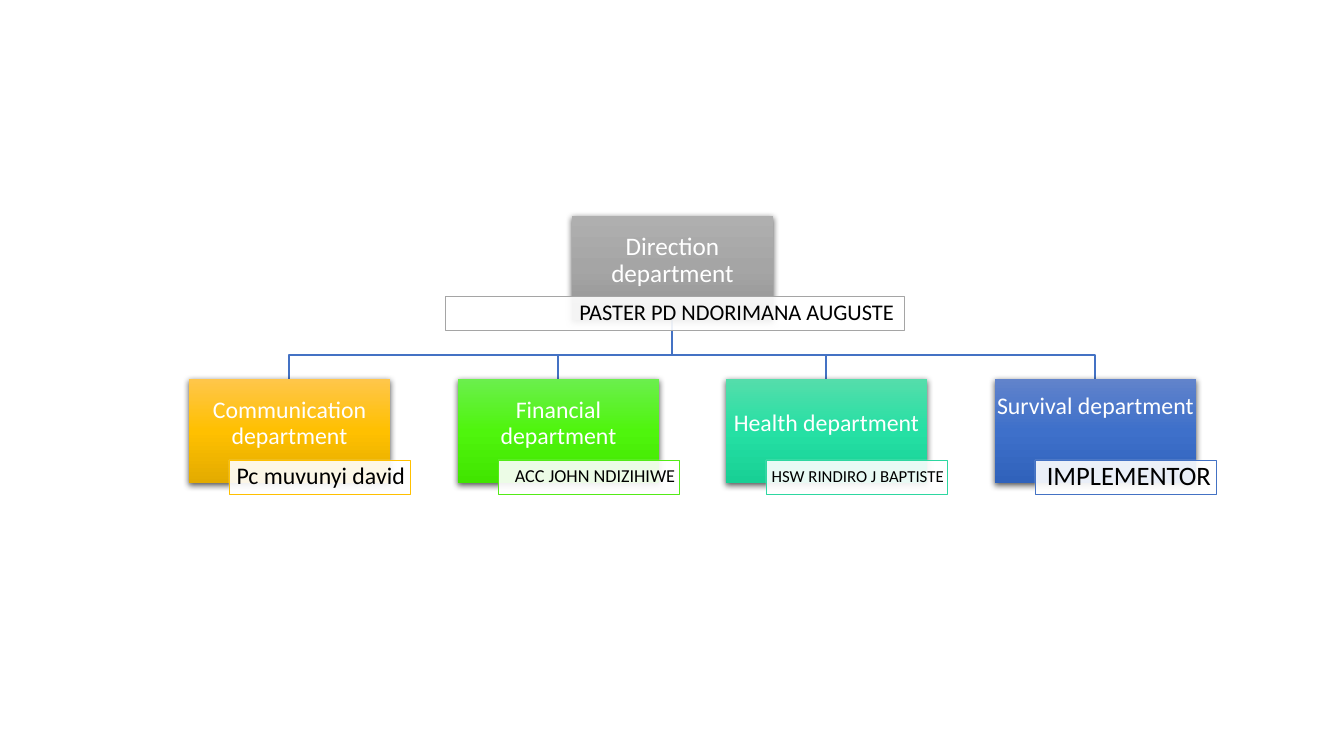
from dataclasses import dataclass
from lxml.etree import SubElement
from pptx import Presentation
from pptx.dml.color import RGBColor
from pptx.enum.shapes import MSO_SHAPE
from pptx.enum.text import MSO_ANCHOR, PP_ALIGN
from pptx.oxml.ns import qn
from pptx.util import Pt

SCALE = 914400 / 100.8


@dataclass(frozen=True)
class Theme:
    font: str = "Calibri"
    white: str = "FFFFFF"
    black: str = "000000"
    wire: str = "4472C4"
    head: int = 18
    unit: int = 17


THEME = Theme()


def px(n):
    return round(n * SCALE)


def rgb(code):
    return RGBColor.from_string(code)


def assign(item, values):
    for key, value in values.items():
        setattr(item, key, value)


def node(parent, tag, **values):
    return SubElement(parent, qn(tag), {k: str(v) for k, v in values.items()})


def write(shape, text, size, color, align, pads):
    frame = shape.text_frame
    sides = ("margin_left", "margin_top", "margin_right", "margin_bottom")
    assign(frame, dict(zip(sides, map(px, pads))))
    assign(frame, {"word_wrap": True, "vertical_anchor": MSO_ANCHOR.MIDDLE})
    para = frame.paragraphs[0]
    assign(para, {"alignment": align, "line_spacing": 0.9})
    run = para.add_run()
    run.text = text
    assign(run.font, {"name": THEME.font, "size": Pt(size)})
    run.font.color.rgb = rgb(color)


def block(slide, box):
    shape = slide.shapes.add_shape(MSO_SHAPE.RECTANGLE, *map(px, box))
    shape.shadow.inherit = False
    return shape


def card(slide, box, text, size, shades, foot=15):
    shape = block(slide, box)
    shape.line.fill.background()
    props = shape.element.spPr
    grad = node(props, "a:gradFill", rotWithShape=1)
    stops = node(grad, "a:gsLst")
    for pos, shade in zip((0, 50000, 100000), shades):
        node(node(stops, "a:gs", pos=pos), "a:srgbClr", val=shade)
    node(grad, "a:lin", ang=5400000, scaled=0)
    props.find(qn("a:prstGeom")).addnext(grad)
    cast = node(props.find(qn("a:effectLst")), "a:outerShdw", blurRad=Pt(4.5),
                dist=Pt(1.5), dir=5400000, algn="ctr", rotWithShape=0)
    tint = node(cast, "a:srgbClr", val=THEME.black)
    node(tint, "a:alpha", val=63000)
    write(shape, text, size, THEME.white, PP_ALIGN.CENTER, (1, 1, 1, foot))


def label(slide, box, text, size, edge, pad):
    shape = block(slide, box)
    shape.fill.solid()
    shape.fill.fore_color.rgb = rgb(THEME.white)
    tint = shape.element.spPr.find(qn("a:solidFill"))[0]
    node(tint, "a:alpha", val=90000)
    shape.line.color.rgb = rgb(edge)
    shape.line.width = Pt(0.5)
    write(shape, text, size, THEME.black, PP_ALIGN.RIGHT, (pad, 1, pad, 1))


def wire(slide, start, end):
    (left, top), (right, base) = start, end
    mid = top + 36
    path = slide.shapes.build_freeform(left, top, scale=SCALE)
    path.add_line_segments([(left, mid), (right, mid), end], close=False)
    shape = path.convert_to_shape()
    shape.shadow.inherit = False
    shape.fill.background()
    shape.line.color.rgb = rgb(THEME.wire)
    shape.line.width = Pt(1)


def unit(slide, box, title, shades, foot, name, size, edge, pad):
    left, top, wide, high = box
    card(slide, box, title, THEME.unit, shades, foot)
    label(slide, (left + 40, top + 81, wide - 20, 34), name, size, edge, pad)


def chief(slide, box):
    left, top, wide, high = box
    card(slide, box, "Direction department", THEME.head,
         ("AFAFAF", "A5A5A5", "939393"))
    label(slide, (left - 127, top + 80, wide + 258, 34),
          "PASTER PD NDORIMANA AUGUSTE", 16, "A5A5A5", 10)


UNITS = (
    ("Communication department", ("FFC64B", "FFC000", "E3AB00"), 15,
     "Pc muvunyi david", 17, "FFC000", 5),
    ("Financial department", ("6BEF4D", "4FF50D", "41E500"), 15,
     "ACC JOHN NDIZIHIWE", 13, "53EB17", 4),
    ("Health department", ("55DDAB", "25E0A4", "18D095"), 15,
     "HSW RINDIRO J BAPTISTE", 12, "2ED7A1", 3),
    ("Survival department", ("6183CB", "3E70CA", "3062BB"), 49,
     "IMPLEMENTOR", 19, "4472C4", 5),
)


def chart(slide, box):
    left, top, wide, high = box
    size = (201, 104)
    pitch = (wide - size[0]) / (len(UNITS) - 1)
    head = (left + 383, top, *size)
    start = (head[0] + 100, top + size[1] - 1)
    spots = [(round(left + i * pitch), top + high - size[1], *size)
             for i in range(len(UNITS))]
    for spot in reversed(spots):
        wire(slide, start, (spot[0] + 100, spot[1]))
    chief(slide, head)
    for spot, data in zip(spots, UNITS):
        unit(slide, spot, *data)


deck = Presentation()
assign(deck, {"slide_width": px(1344), "slide_height": px(756)})
page = deck.slides.add_slide(deck.slide_layouts[6])
chart(page, (189, 216, 1007, 267))
deck.save("out.pptx")
